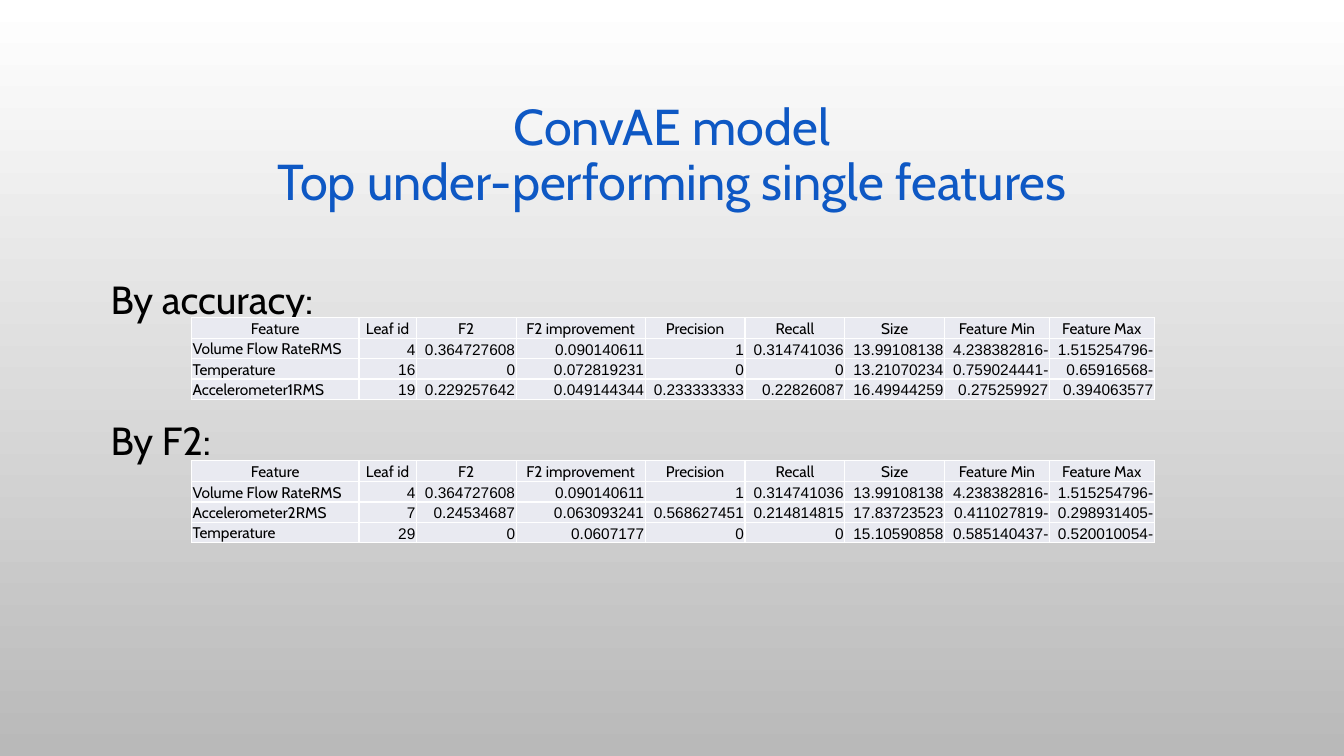
from dataclasses import dataclass

from lxml import etree
from pptx import Presentation
from pptx.dml.color import RGBColor
from pptx.enum.text import MSO_ANCHOR, PP_ALIGN
from pptx.oxml.ns import qn
from pptx.util import Inches, Pt

LEFT, CENTER, RIGHT = PP_ALIGN.LEFT, PP_ALIGN.CENTER, PP_ALIGN.RIGHT
MIDDLE, BOTTOM = MSO_ANCHOR.MIDDLE, MSO_ANCHOR.BOTTOM


@dataclass(frozen=True)
class Theme:
    font: str = "Cabin"
    number_font: str = "Arial"
    title_size: int = 36
    heading_size: int = 28
    cell_size: int = 11
    title: str = "0E58C4"
    text: str = "000000"
    cell: str = "E9EAF1"
    border: str = "FFFFFF"
    bg_top: str = "FFFFFF"
    bg_bottom: str = "B9B9B9"


THEME = Theme()
SLIDE_W, SLIDE_H = 13.33, 7.5
MARGIN = 1
TEXT_W = SLIDE_W - 2 * MARGIN

TABLE_X, TABLE_Y, TABLE_PITCH = 1.9, 3.15, 1.42
COL_WIDTHS = [1.66, 0.57, 0.99, 1.28, 0.99, 0.99, 0.99, 1.04, 1.04]
ROW_HEIGHTS = [0.21, 0.2, 0.2, 0.2]
HEADER = ["Feature", "Leaf id", "F2", "F2 improvement", "Precision",
          "Recall", "Size", "Feature Min", "Feature Max"]
VOLUME_FLOW = ["Volume Flow RateRMS", "4", "0.364727608", "0.090140611", "1",
               "0.314741036", "13.99108138", "-4.238382816", "-1.515254796"]
RANKINGS = {
    "By accuracy:": [
        HEADER,
        VOLUME_FLOW,
        ["Temperature", "16", "0", "0.072819231", "0",
         "0", "13.21070234", "-0.759024441", "-0.65916568"],
        ["Accelerometer1RMS", "19", "0.229257642", "0.049144344", "0.233333333",
         "0.22826087", "16.49944259", "0.275259927", "0.394063577"],
    ],
    "By F2:": [
        HEADER,
        VOLUME_FLOW,
        ["Accelerometer2RMS", "7", "0.24534687", "0.063093241", "0.568627451",
         "0.214814815", "17.83723523", "-0.411027819", "-0.298931405"],
        ["Temperature", "29", "0", "0.0607177", "0",
         "0", "15.10590858", "-0.585140437", "-0.520010054"],
    ],
}


def style(p, size, color, align):
    p.alignment = align
    p.font.name = THEME.font
    p.font.size = Pt(size)
    p.font.color.rgb = RGBColor.from_string(color)


def add_borders(cell):
    tc_pr = cell._tc.get_or_add_tcPr()
    for side in ("lnL", "lnR", "lnT", "lnB"):
        ln = etree.SubElement(tc_pr, qn(f"a:{side}"), w=str(Pt(1)))
        fill = etree.SubElement(ln, qn("a:solidFill"))
        etree.SubElement(fill, qn("a:srgbClr"), val=THEME.border)


prs = Presentation()
prs.slide_width, prs.slide_height = Inches(SLIDE_W), Inches(SLIDE_H)
s = prs.slides.add_slide(prs.slide_layouts[6])

# Background
bg = s.background.fill
bg.gradient()
bg.gradient_angle = 270
for stop, color in zip(bg.gradient_stops, (THEME.bg_top, THEME.bg_bottom)):
    stop.color.rgb = RGBColor.from_string(color)

# Title
sp = s.shapes.add_textbox(Inches(MARGIN), Inches(0.68), Inches(TEXT_W), Inches(1.75))
tf = sp.text_frame
tf.word_wrap = True
tf.vertical_anchor = MIDDLE
p = tf.paragraphs[0]
p.add_run().text = "ConvAE model"
p.add_line_break()
p.add_run().text = "Top under-performing single features"
p.line_spacing = 0.9
style(p, THEME.title_size, THEME.title, CENTER)

# Headings
sp = s.shapes.add_textbox(Inches(MARGIN), Inches(2.59), Inches(TEXT_W), Inches(3.74))
tf = sp.text_frame
tf.word_wrap = True
for i, heading in enumerate(RANKINGS):
    p = tf.add_paragraph() if i else tf.paragraphs[0]
    p.text = heading
    p.line_spacing = 1.2
    p.space_before = Pt(60 if i else 10)
    style(p, THEME.heading_size, THEME.text, LEFT)

# Ranking tables
for i, rows in enumerate(RANKINGS.values()):
    table = s.shapes.add_table(
        len(rows), len(HEADER), Inches(TABLE_X), Inches(TABLE_Y + i * TABLE_PITCH),
        Inches(sum(COL_WIDTHS)), Inches(sum(ROW_HEIGHTS))).table
    table.first_row = table.horz_banding = False
    for column, width in zip(table.columns, COL_WIDTHS):
        column.width = Inches(width)
    for row, height in zip(table.rows, ROW_HEIGHTS):
        row.height = Inches(height)
    for r, values in enumerate(rows):
        for c, value in enumerate(values):
            cell = table.cell(r, c)
            cell.margin_left = cell.margin_right = cell.margin_top = Inches(0.01)
            cell.margin_bottom = 0
            cell.vertical_anchor = BOTTOM
            add_borders(cell)
            cell.fill.solid()
            cell.fill.fore_color.rgb = RGBColor.from_string(THEME.cell)
            p = cell.text_frame.paragraphs[0]
            p.text = value
            align = CENTER if r == 0 else RIGHT if c else LEFT
            style(p, THEME.cell_size, THEME.text, align)
            if align == RIGHT:
                # Right-to-left numbers show the minus sign at the end
                p_pr = p._p.get_or_add_pPr()
                p_pr.set("rtl", "1")
                etree.SubElement(p_pr.find(qn("a:defRPr")), qn("a:cs"),
                                 typeface=THEME.number_font)

prs.save("out.pptx")
